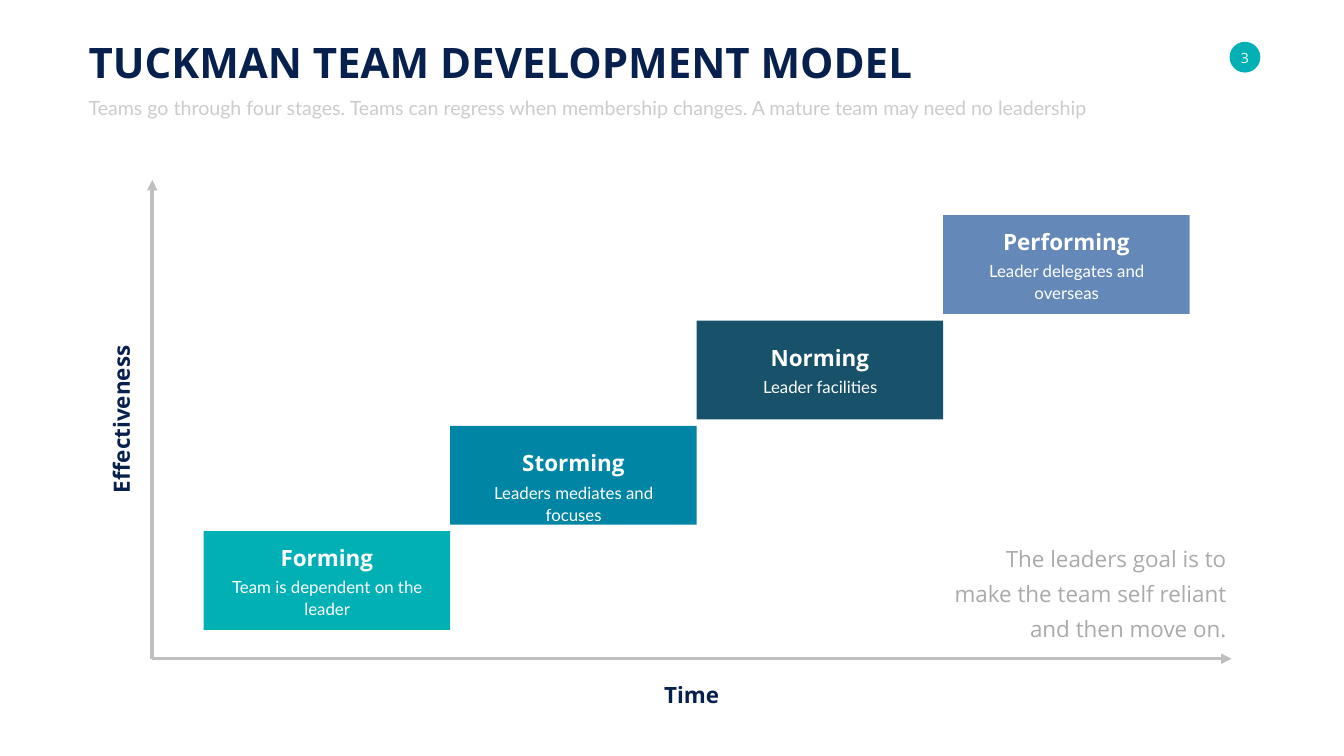
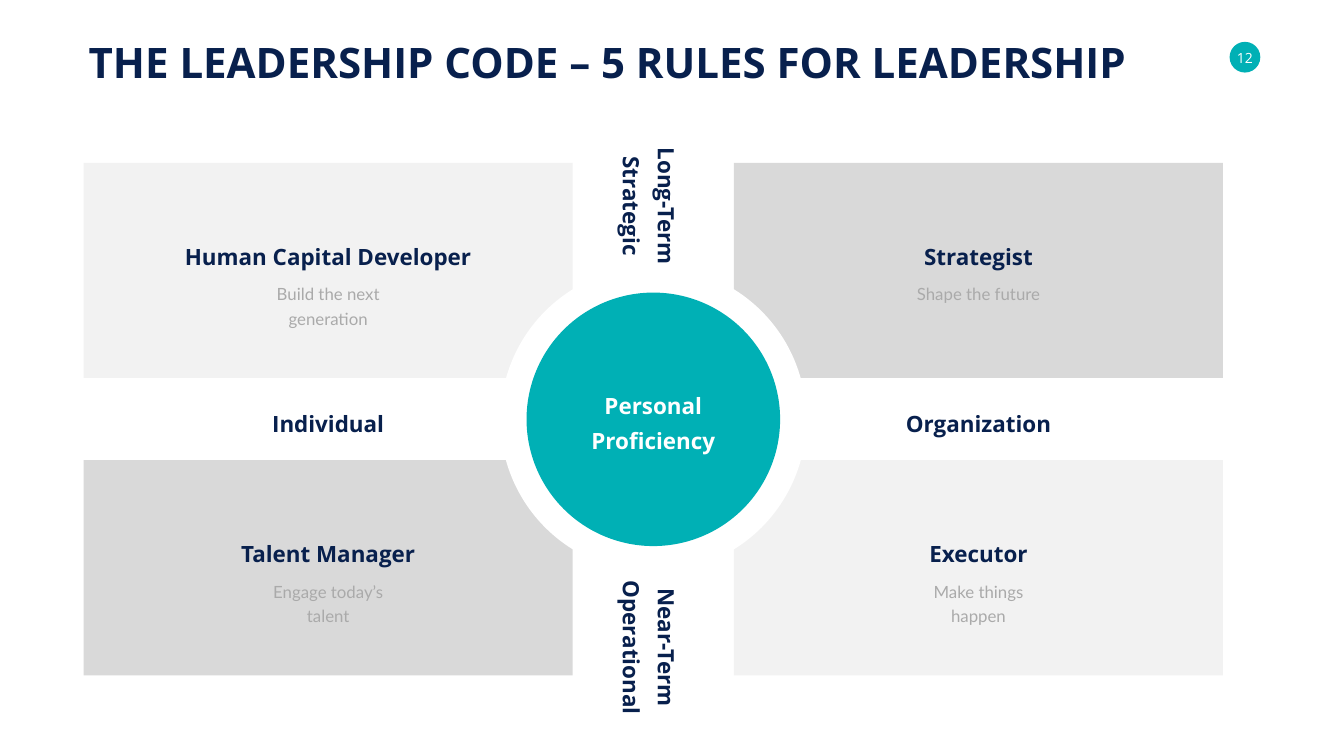
from dataclasses import dataclass
from typing import NamedTuple, Optional

from lxml import etree
from pptx import Presentation
from pptx.dml.color import RGBColor
from pptx.enum.shapes import MSO_CONNECTOR, MSO_SHAPE
from pptx.enum.text import MSO_ANCHOR, MSO_AUTO_SIZE, PP_ALIGN
from pptx.oxml.ns import qn
from pptx.shapes.autoshape import Shape
from pptx.slide import Slide
from pptx.util import Inches, Pt

RECT, OVAL = MSO_SHAPE.RECTANGLE, MSO_SHAPE.OVAL
STRAIGHT = MSO_CONNECTOR.STRAIGHT
LEFT, CENTER, RIGHT = PP_ALIGN.LEFT, PP_ALIGN.CENTER, PP_ALIGN.RIGHT
TOP, MIDDLE, BOTTOM = MSO_ANCHOR.TOP, MSO_ANCHOR.MIDDLE, MSO_ANCHOR.BOTTOM
GROW = MSO_AUTO_SIZE.SHAPE_TO_FIT_TEXT


@dataclass(frozen=True)
class Theme:
    navy: str = "08204D"
    teal: str = "00B0B5"
    blue: str = "0085A4"
    deep: str = "18526A"
    steel: str = "6488B7"
    white: str = "FFFFFF"
    pale: str = "F2F2F2"
    silver: str = "D9D9D9"
    axis: str = "BFBFBF"
    muted: str = "AAAAAA"
    faint: str = "CCCCCC"
    head_font: str = "Open Sans"
    body_font: str = "Lato"
    title: int = 60
    label: int = 32
    intro: int = 28
    note: int = 24
    page: int = 20


THEME = Theme()


class Box(NamedTuple):
    left: float
    top: float
    width: float
    height: float


class Style(NamedTuple):
    font: str
    size: int
    color: str
    bold: bool = False
    leading: Optional[int] = None
    align: PP_ALIGN = CENTER
    anchor: MSO_ANCHOR = MIDDLE
    wrap: bool = False


TITLE = Style(THEME.head_font, THEME.title, THEME.navy, True,
              align=LEFT, anchor=TOP)
INTRO = Style(THEME.body_font, THEME.intro, THEME.faint, leading=35,
              align=LEFT, anchor=TOP)
PAGE = Style(THEME.head_font, THEME.page, THEME.white)
LABEL = Style(THEME.head_font, THEME.label, THEME.navy, True, 50)
HUB = LABEL._replace(color=THEME.white)
STAGE = HUB._replace(anchor=BOTTOM)
GOAL = LABEL._replace(color=THEME.muted, bold=False, align=RIGHT,
                      anchor=TOP, wrap=True)
ROLE = Style(THEME.body_font, THEME.note, THEME.white, leading=32,
             anchor=TOP, wrap=True)
RULE = ROLE._replace(color=THEME.muted, leading=35)


class Stage(NamedTuple):
    name: str
    width: float
    role: str
    color: str
    drop: float
    depth: float


class Quad(NamedTuple):
    name: str
    width: float
    rule: str
    span: float
    col: int
    row: int


class Tag(NamedTuple):
    text: str
    x: float
    y: float
    width: float
    height: float = 0.74
    turn: int = 0
    style: Style = LABEL


STAGES = [
    Stage("Forming", 2.08, "Team is dependent on the leader",
          THEME.teal, 0.09, 0.96),
    Stage("Storming", 2.25, "Leaders mediates and focuses",
          THEME.blue, 0.31, 0.51),
    Stage("Norming", 2.17, "Leader facilities", THEME.deep, 0.31, 0.51),
    Stage("Performing", 2.73, "Leader delegates and overseas",
          THEME.steel, 0.09, 0.96),
]
AXES = [
    Tag("Time", 13.72, 13.7, 1.3),
    Tag("Effectiveness", 2.32, 8.32, 3.15, turn=270),
]

QUADS = [
    Quad("Human Capital Developer", 5.94, "Build the next generation", 3.8, 0, 0),
    Quad("Talent Manager", 3.69, "Engage today’s talent", 3.25, 0, 1),
    Quad("Strategist", 2.38, "Shape the future", 2.7, 1, 0),
    Quad("Executor", 2.17, "Make things happen", 3.1, 1, 1),
]
HUB_X, HUB_Y = 12.96, 8.32
TAGS = [
    Tag("Personal\nProficiency", HUB_X, HUB_Y, 2.68, 1.44, style=HUB),
    Tag("Individual", 6.51, HUB_Y, 2.45),
    Tag("Organization", 19.41, HUB_Y, 3.11),
    Tag("Near-Term\nOperational", HUB_X, 12.85, 2.89, 1.44, 90),
    Tag("Long-Term\nStrategic", HUB_X, 4.09, 2.55, 1.44, 90),
]


def around(x: float, y: float, width: float, height: float) -> Box:
    """Return the box centred on a point."""
    return Box(x - width / 2, y - height / 2, width, height)


def add_solid(slide: Slide, kind: MSO_SHAPE, box: Box, color: str) -> Shape:
    shape = slide.shapes.add_shape(kind, *map(Inches, box))
    shape.shadow.inherit = False
    shape.fill.solid()
    shape.fill.fore_color.rgb = RGBColor.from_string(color)
    shape.line.fill.background()
    return shape


def add_text(slide: Slide, text: str, box: Box, style: Style) -> Shape:
    shape = slide.shapes.add_textbox(*map(Inches, box))
    frame = shape.text_frame
    frame.text = text
    frame.word_wrap = style.wrap
    frame.auto_size = GROW
    frame.vertical_anchor = style.anchor
    for para in frame.paragraphs:
        para.alignment = style.align
        if style.leading:
            para.line_spacing = Pt(style.leading)
        for run in para.runs:
            font = run.font
            font.name, font.size, font.bold = style.font, Pt(style.size), style.bold
            font.color.rgb = RGBColor.from_string(style.color)
    return shape


def add_tag(slide: Slide, tag: Tag) -> None:
    box = around(tag.x, tag.y, tag.width, tag.height)
    add_text(slide, tag.text, box, tag.style).rotation = tag.turn


def add_axis(slide: Slide, x: float, y: float) -> None:
    """Draw an axis whose arrow tip is at x, y."""
    ends = map(Inches, (x, y, 3.02, 13.07))
    axis = slide.shapes.add_connector(STRAIGHT, *ends)
    axis.line.color.rgb = RGBColor.from_string(THEME.axis)
    axis.line.width = Pt(5)
    etree.SubElement(axis.line._get_or_add_ln(), qn("a:headEnd"), type="triangle")
    etree.SubElement(axis._element.spPr, qn("a:effectLst"))


def add_base(deck: Presentation, title: str, width: float, page: int) -> Slide:
    """Add a slide with its title and page badge."""
    slide = deck.slides.add_slide(deck.slide_layouts[6])
    add_solid(slide, OVAL, Box(24.39, 0.83, 0.61, 0.61), THEME.teal)
    frame = add_text(slide, str(page), Box(24.52, 0.97, 0.35, 0.34), PAGE).text_frame
    frame.margin_left = frame.margin_right = 0
    frame.margin_top = frame.margin_bottom = 0
    add_text(slide, title, Box(1.66, 0.67, width, 1.11), TITLE)
    return slide


def add_stage(slide: Slide, step: int, stage: Stage) -> None:
    box = Box(4.04 + step * 4.89, 10.54 - step * 2.09, 4.89, 1.96)
    add_solid(slide, RECT, box, stage.color)
    mid = box.left + box.width / 2
    top = box.top + stage.drop
    add_text(slide, stage.name,
             Box(mid - stage.width / 2, top, stage.width, 0.74), STAGE)
    add_text(slide, stage.role, Box(mid - 2.26, top + 0.72, 4.53, stage.depth), ROLE)


def add_quad(slide: Slide, quad: Quad) -> None:
    box = Box(1.66 + quad.col * 12.9, 3.23 + quad.row * 5.9, 9.7, 4.27)
    fill = THEME.pale if quad.col == quad.row else THEME.silver
    add_solid(slide, RECT, box, fill)
    mid = box.left + box.width / 2
    add_tag(slide, Tag(quad.name, mid, box.top + 1.78, quad.width))
    add_text(slide, quad.rule,
             Box(mid - quad.span / 2, box.top + 2.27, quad.span, 0.54), RULE)


def build_model(deck: Presentation) -> None:
    slide = add_base(deck, "TUCKMAN TEAM DEVELOPMENT MODEL", 16.71, 3)
    add_text(slide, "Teams go through four stages. Teams can regress when "
             "membership changes. A mature team may need no leadership",
             Box(1.66, 1.84, 20.41, 0.55), INTRO)
    add_axis(slide, 3.02, 3.57)
    add_axis(slide, 24.43, 13.07)
    for tag in AXES:
        add_tag(slide, tag)
    for step, stage in enumerate(STAGES):
        add_stage(slide, step, stage)
    add_text(slide, "The leaders goal is to make the team self reliant "
             "and then move on.", Box(18.7, 10.61, 5.73, 2.15), GOAL)


def build_code(deck: Presentation) -> None:
    slide = add_base(deck, "THE LEADERSHIP CODE – 5 RULES FOR LEADERSHIP", 20.99, 12)
    for quad in QUADS:
        add_quad(slide, quad)
    for size, color in ((6.07, THEME.white), (5.03, THEME.teal)):
        add_solid(slide, OVAL, around(HUB_X, HUB_Y, size, size), color)
    for tag in TAGS:
        add_tag(slide, tag)


def main() -> None:
    deck = Presentation()
    deck.slide_width, deck.slide_height = Inches(26.66), Inches(15)
    build_model(deck)
    build_code(deck)
    deck.save("out.pptx")


if __name__ == "__main__":
    main()
